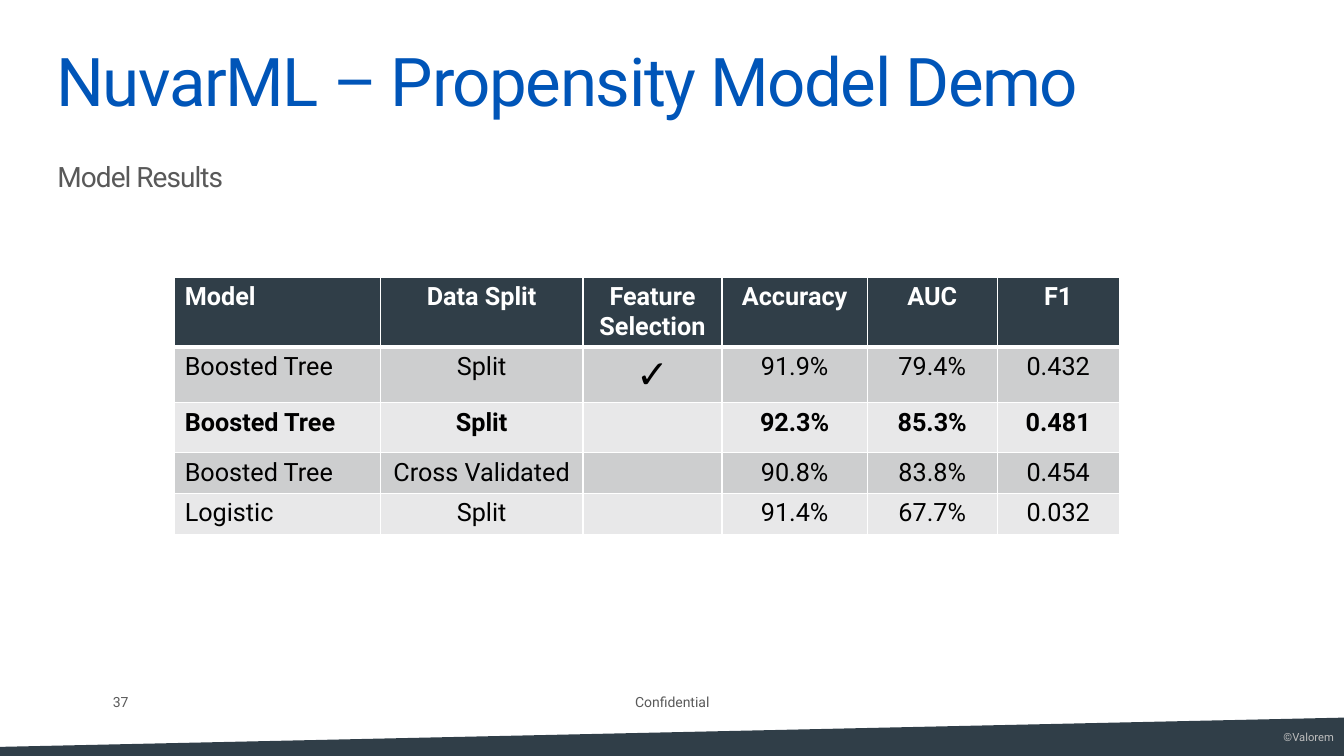
from dataclasses import dataclass

from lxml import etree
from pptx import Presentation
from pptx.dml.color import RGBColor
from pptx.enum import text
from pptx.oxml import ns
from pptx.util import Pt

FONT = "Roboto"
SLATE = RGBColor(0x30, 0x3E, 0x48)
BLUE = RGBColor(0x00, 0x55, 0xB8)
GRAY = RGBColor(0x59, 0x59, 0x59)
SILVER = RGBColor(0xBF, 0xBF, 0xBF)
BAND_DARK = RGBColor(0xCD, 0xCE, 0xCF)
BAND_LIGHT = RGBColor(0xE8, 0xE8, 0xE9)
WHITE = RGBColor(0xFF, 0xFF, 0xFF)
BLACK = RGBColor(0x00, 0x00, 0x00)
LEFT, CENTER, RIGHT = text.PP_ALIGN.LEFT, text.PP_ALIGN.CENTER, text.PP_ALIGN.RIGHT
MIDDLE, TOP = text.MSO_ANCHOR.MIDDLE, text.MSO_ANCHOR.TOP

PAGE_WIDTH, PAGE_HEIGHT = 960, 540


@dataclass
class Label:
    """Wording and look of one text frame; lengths in points."""
    words: str
    size: float
    color: RGBColor
    align: text.PP_ALIGN = LEFT
    anchor: text.MSO_ANCHOR = MIDDLE
    insets: tuple = (7.2, 3.6, 7.2, 3.6)
    spacing: float = 0


@dataclass
class ResultRow:
    """One table row."""
    height: float
    values: tuple
    fill: RGBColor
    color: RGBColor = BLACK
    bold: bool = False
    bottom_line: float = 1


COLUMN_WIDTHS = (146.9, 144.7, 99.4, 103.7, 92.9, 87.1)
RESULTS = (
    ResultRow(49.3, ("Model", "Data Split", "Feature Selection", "Accuracy", "AUC", "F1"),
              SLATE, WHITE, True, 3),
    ResultRow(39.6, ("Boosted Tree", "Split", "✓", "91.9%", "79.4%", "0.432"), BAND_DARK),
    ResultRow(35.7, ("Boosted Tree", "Split", "", "92.3%", "85.3%", "0.481"),
              BAND_LIGHT, bold=True),
    ResultRow(29.2, ("Boosted Tree", "Cross Validated", "", "90.8%", "83.8%", "0.454"),
              BAND_DARK),
    ResultRow(29.2, ("Logistic", "Split", "", "91.4%", "67.7%", "0.032"), BAND_LIGHT),
)


def place(box, left: float, top: float, width: float, height: float) -> None:
    box.left, box.top, box.width, box.height = map(Pt, (left, top, width, height))


def style_paragraph(para, size: float, color: RGBColor, align, bold: bool = False) -> None:
    para.alignment = align
    para.font.name = FONT
    para.font.size = Pt(size)
    para.font.bold = bold
    para.font.color.rgb = color


def write_label(box, label: Label):
    frame = box.text_frame
    frame.word_wrap = True
    frame.auto_size = text.MSO_AUTO_SIZE.NONE
    frame.vertical_anchor = label.anchor
    (frame.margin_left, frame.margin_top,
     frame.margin_right, frame.margin_bottom) = map(Pt, label.insets)
    para = frame.paragraphs[0]
    para.text = label.words
    para.space_before = Pt(0)
    style_paragraph(para, label.size, label.color, label.align)
    if label.spacing:
        para.font._element.set("spc", str(round(label.spacing * 100)))
    return para


def remove_bullet(para) -> None:
    props = para._p.get_or_add_pPr()
    props.set("marL", "0")
    props.set("indent", "0")
    etree.SubElement(props, ns.qn("a:buNone"))


def add_border(cell, side: str, width: float) -> None:
    line = etree.SubElement(cell._tc.get_or_add_tcPr(), ns.qn(f"a:ln{side}"), w=str(Pt(width)))
    fill = etree.SubElement(line, ns.qn("a:solidFill"))
    etree.SubElement(fill, ns.qn("a:srgbClr"), val=str(WHITE))


def add_wedge(page) -> None:
    builder = page.shapes.build_freeform(Pt(PAGE_WIDTH), Pt(512.6))
    builder.add_line_segments(
        [(Pt(PAGE_WIDTH), Pt(PAGE_HEIGHT)), (0, Pt(PAGE_HEIGHT)), (0, Pt(533.5))])
    wedge = builder.convert_to_shape()
    wedge.shadow.inherit = False
    wedge.fill.solid()
    wedge.fill.fore_color.rgb = SLATE
    wedge.line.fill.background()
    write_label(wedge, Label("©Valorem", 8, SILVER, RIGHT))


def add_results(page) -> None:
    frame = page.shapes.add_table(
        len(RESULTS), len(COLUMN_WIDTHS), Pt(124.8), Pt(198.2),
        Pt(sum(COLUMN_WIDTHS)), Pt(sum(row.height for row in RESULTS)))
    table = frame.table
    for column, width in zip(table.columns, COLUMN_WIDTHS):
        column.width = Pt(width)
    for row_index, row in enumerate(RESULTS):
        table.rows[row_index].height = Pt(row.height)
        top_line = RESULTS[row_index - 1].bottom_line if row_index else 1
        for column_index, value in enumerate(row.values):
            cell = table.cell(row_index, column_index)
            for side, width in (("L", 1), ("R", 1), ("T", top_line), ("B", row.bottom_line)):
                add_border(cell, side, width)
            cell.fill.solid()
            cell.fill.fore_color.rgb = row.fill
            para = cell.text_frame.paragraphs[0]
            if value:
                para.text = value
            style_paragraph(para, 28 if value == "✓" else 18, row.color,
                            CENTER if column_index else LEFT, row.bold)


def main() -> None:
    deck = Presentation()
    deck.slide_width, deck.slide_height = Pt(PAGE_WIDTH), Pt(PAGE_HEIGHT)
    page = deck.slides.add_slide(deck.slide_layouts[1])

    # Title and subtitle
    title, subtitle = page.placeholders
    place(title, 40.3, 23.8, 879.8, 73.4)
    para = write_label(title, Label("NuvarML – Propensity Model Demo", 48, BLUE,
                                    insets=(0, 0, 0, 0), spacing=-1))
    para.line_spacing = 0.9
    place(subtitle, 41, 113.8, 878.4, 97.2)
    remove_bullet(subtitle.text_frame.paragraphs[0])
    write_label(subtitle, Label("Model Results", 20, GRAY, anchor=TOP,
                                insets=(0, 0, 0, 0), spacing=-0.7))

    # Model comparison
    add_results(page)

    # Footer
    add_wedge(page)
    for left, width, label in (
        (318.2, 324, Label("Confidential", 10, GRAY, CENTER)),
        (80.6, 43.9, Label("37", 10, GRAY, insets=(0, 5, 0, 5))),
    ):
        box = page.shapes.add_textbox(Pt(left), Pt(492.5), Pt(width), Pt(17.3))
        write_label(box, label)

    deck.save("out.pptx")


if __name__ == "__main__":
    main()
